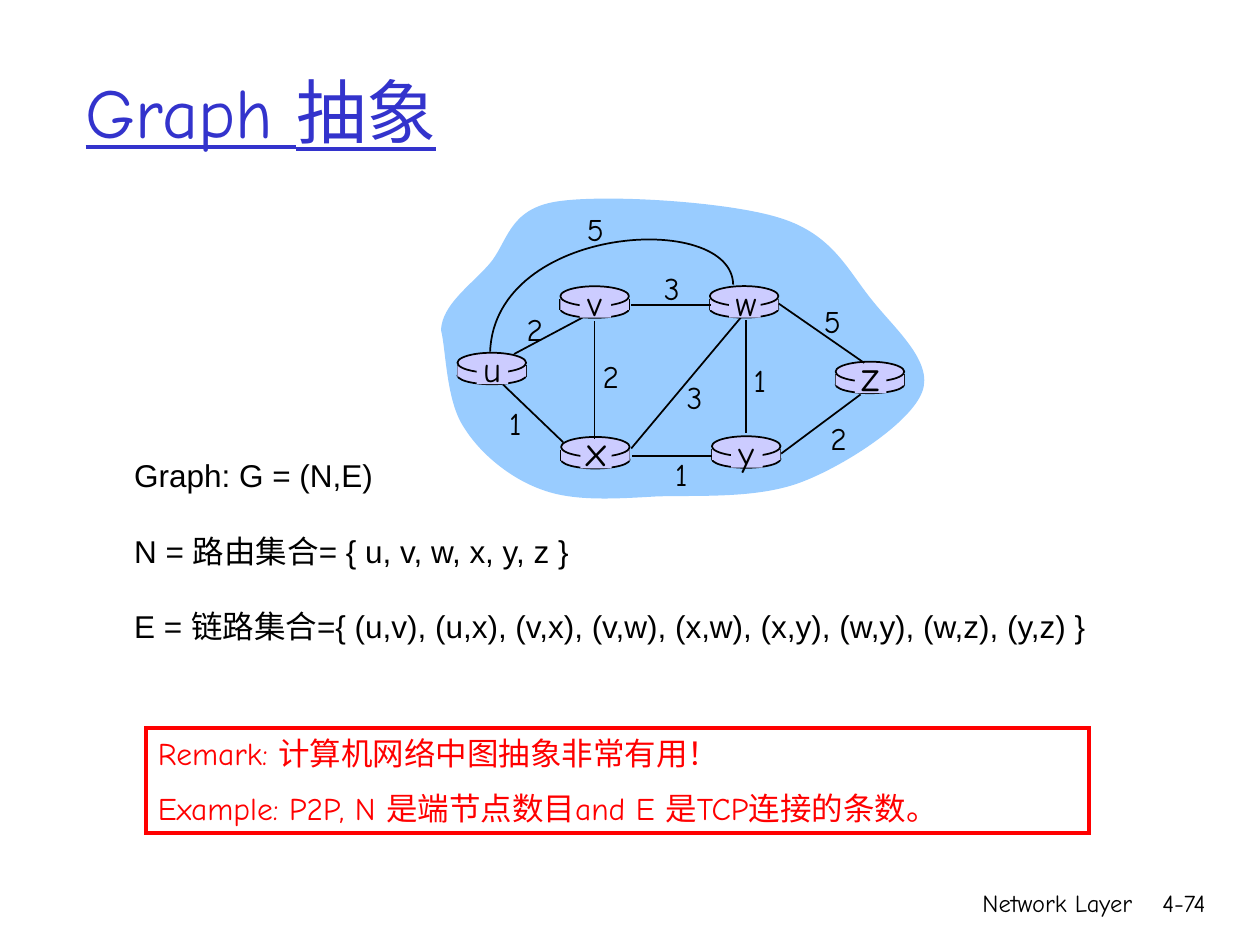
from dataclasses import dataclass
from lxml import etree
from pptx import Presentation
from pptx.dml.color import RGBColor as RGB
from pptx.enum.shapes import MSO_CONNECTOR as CONN, MSO_SHAPE as SHAPE
from pptx.enum.text import MSO_ANCHOR as ANCHOR, MSO_AUTO_SIZE as FIT, PP_ALIGN as ALIGN
from pptx.oxml.ns import qn
from pptx.shapes.connector import Connector
from pptx.util import Pt


@dataclass(frozen=True)
class Theme:
    black: RGB = RGB(0, 0, 0)
    blue: RGB = RGB(0x33, 0x33, 0xCC)
    red: RGB = RGB(0xFF, 0, 0)
    sky: RGB = RGB(0x99, 0xCC, 0xFF)
    lavender: RGB = RGB(0xCC, 0xCC, 0xFF)
    hand: str = "Comic Neue"
    sans: str = "Arial"
    title: int = 40
    big_node: int = 24
    node: int = 20
    body: int = 18
    footer: int = 14


T = Theme()


def write(sp, lines, size, gap=0, align=ALIGN.LEFT, frame=None, **font):
    """Fill a shape with paragraphs that are gap points apart."""
    tf = sp.text_frame
    for key, value in {"word_wrap": True, "vertical_anchor": ANCHOR.TOP, **(frame or {})}.items():
        setattr(tf, key, value)
    look = {"size": Pt(size), "name": T.hand, "color": T.black, **font}
    color = look.pop("color")
    for i, line in enumerate(lines):
        p = tf.paragraphs[0] if i == 0 else tf.add_paragraph()
        p.alignment = align
        if i:
            p.space_before = Pt(gap)
        r = p.add_run()
        r.text = line
        for key, value in look.items():
            setattr(r.font, key, value)
        r.font.color.rgb = color


def add_curve(shapes, start, points, close):
    """Draw cubic Bezier segments; points are (control, control, end) in turn."""
    builder = shapes.build_freeform(Pt(start[0]), Pt(start[1]))
    builder.add_line_segments([(Pt(x), Pt(y)) for x, y in points], close=close)
    sp = builder.convert_to_shape()
    sp.shadow.inherit = False
    steps = list(sp._element.iter(qn("a:lnTo")))
    for i in range(0, len(points), 3):
        bezier = etree.Element(qn("a:cubicBezTo"))
        steps[i].addprevious(bezier)
        for step in steps[i:i + 3]:
            bezier.append(step[0])
            step.getparent().remove(step)
    return sp


prs = Presentation()
prs.slide_width, prs.slide_height = Pt(720), Pt(540)
s = prs.slides.add_slide(prs.slide_layouts[6])

# Footer
for text, x, w in (("Network Layer", 425.9, 228.2), ("4-74", 642.7, 53.3)):
    write(s.shapes.add_textbox(Pt(x), Pt(504), Pt(w), Pt(36)), [text], T.footer, align=ALIGN.RIGHT)

# Network cloud
graph = s.shapes.add_group_shape().shapes
cloud = add_curve(graph, (252, 188.6), [
    (252.7, 174.2), (268.6, 163.4), (279.4, 151.2),
    (290.2, 139), (290.2, 119.5), (318.2, 115.2),
    (345.6, 110.9), (416.2, 115.2), (445.7, 124.6),
    (475.9, 133.9), (484.6, 154.8), (498.2, 171.4),
    (511.2, 187.9), (533.5, 206.6), (527, 223.9),
    (520.6, 241.2), (484.6, 265), (459.4, 275),
    (434.2, 285.1), (401, 283), (375.8, 283.7),
    (351.4, 285.1), (328.3, 286.6), (310.3, 280.1),
    (291.6, 273.6), (274.3, 259.2), (265, 244.1),
    (254.9, 229), (254.9, 200.2), (252, 188.6),
], close=True)
cloud.fill.solid()
cloud.fill.fore_color.rgb = T.sky
cloud.line.fill.background()

# Routers: name, left, top, type size
routers = [
    ("u", 261.4, 201.6, T.node), ("x", 320.6, 249.7, T.big_node),
    ("v", 320.2, 163.6, T.node), ("w", 405.6, 163.5, T.node),
    ("y", 406.8, 249.3, T.node), ("z", 477.5, 206.7, T.big_node),
]
ROUTER_W = 39.2
parts = []
for name, x, y, size in routers:
    parts.append(graph.add_shape(SHAPE.OVAL, Pt(x), Pt(y + 8), Pt(ROUTER_W), Pt(10)))
    for side in (x, x + ROUTER_W):
        graph.add_connector(CONN.STRAIGHT, Pt(side), Pt(y + 7.2), Pt(side), Pt(y + 13.6))
    parts.append(graph.add_shape(SHAPE.RECTANGLE, Pt(x), Pt(y + 7.2), Pt(ROUTER_W), Pt(6.4)))
    parts.append(graph.add_shape(SHAPE.OVAL, Pt(x), Pt(y), Pt(ROUTER_W), Pt(11.4)))

# Links: ends, then cost with the centre and top of its label
links = [
    (293.8, 202.3, 337, 179.3, "2", 305.6, 173.5),
    (339.8, 183.6, 339.8, 250.6, "2", 349, 200.7),
    (321.8, 252.7, 287.3, 219.6, "1", 294.5, 227.5),
    (360.7, 256.3, 423.4, 181.4, "3", 396.9, 212.4),
    (406.8, 260.6, 361.4, 260.6, "1", 389.3, 256.3),
    (426.2, 182.9, 426.2, 247.7, "1", 434.2, 203),
    (446.4, 259.2, 491.8, 225.4, "2", 479.2, 236),
    (493.9, 207.4, 445, 173.5, "5", 475.7, 168.8),
    (406.1, 174.2, 360.7, 174.2, "3", 383.9, 150.1),
]
for x1, y1, x2, y2, *_ in links:
    graph.add_connector(CONN.STRAIGHT, Pt(x1), Pt(y1), Pt(x2), Pt(y2))
arc = add_curve(graph, (419, 162.7), [(418.3, 120.2), (283, 128.2), (280.1, 200.9)], close=False)
arc.fill.background()

for name, x, y, size in routers:
    parts.append(graph.add_shape(SHAPE.RECTANGLE, Pt(x + 11), Pt(y + 1.5), Pt(18), Pt(16.5)))

for sp in parts:
    sp.shadow.inherit = False
    sp.fill.solid()
    sp.fill.fore_color.rgb = T.lavender
    if sp.auto_shape_type == SHAPE.RECTANGLE:
        sp.line.fill.background()
lines = [sp for sp in graph if isinstance(sp, Connector)]
ovals = [sp for sp in parts if sp.auto_shape_type == SHAPE.OVAL]
for sp in lines + ovals + [arc]:
    sp.line.color.rgb = T.black
    sp.line.width = Pt(1)
for sp in lines:
    etree.SubElement(sp._element.spPr, qn("a:effectLst"))

# Node names and link costs: text, centre, top, height, type size
labels = [(name, x + ROUTER_W / 2, y - (10.5 if size == T.big_node else 6.3),
           36 if size == T.big_node else 31.7, size) for name, x, y, size in routers]
labels += [(cost, x, y, 29, T.body) for *_, cost, x, y in links + [("5", 340.2, 116.6)]]
for text, x, y, h, size in labels:
    write(graph.add_textbox(Pt(x - 12), Pt(y), Pt(24), Pt(h)), [text], size, align=ALIGN.CENTER,
          frame={"word_wrap": False, "auto_size": FIT.SHAPE_TO_FIT_TEXT})

# Definitions
write(s.shapes.add_textbox(Pt(69.6), Pt(257), Pt(573.1), Pt(115.2)), [
    "Graph: G = (N,E)",
    "N = 路由集合= { u, v, w, x, y, z }",
    "E = 链路集合={ (u,v), (u,x), (v,x), (v,w), (x,w), (x,y), (w,y), (w,z), (y,z) }",
], T.body, gap=21.7, name=T.sans,
    frame={"word_wrap": False, "auto_size": FIT.SHAPE_TO_FIT_TEXT})

# Title
write(s.shapes.add_textbox(Pt(41.9), Pt(18), Pt(612), Pt(90)), ["Graph 抽象"], T.title,
      color=T.blue, underline=True, frame={"vertical_anchor": ANCHOR.MIDDLE})

# Remark
remark = s.shapes.add_shape(SHAPE.RECTANGLE, Pt(83.2), Pt(415.8), Pt(539.2), Pt(60.3))
remark.shadow.inherit = False
remark.fill.background()
remark.line.color.rgb = T.red
remark.line.width = Pt(2.25)
etree.SubElement(remark.line._get_or_add_ln(), qn("a:miter"), lim="800000")
write(remark, [
    "Remark: 计算机网络中图抽象非常有用！",
    "Example: P2P, N 是端节点数目and E 是TCP连接的条数。",
], T.body, gap=10, color=T.red, frame={"auto_size": FIT.SHAPE_TO_FIT_TEXT})

prs.save("out.pptx")
